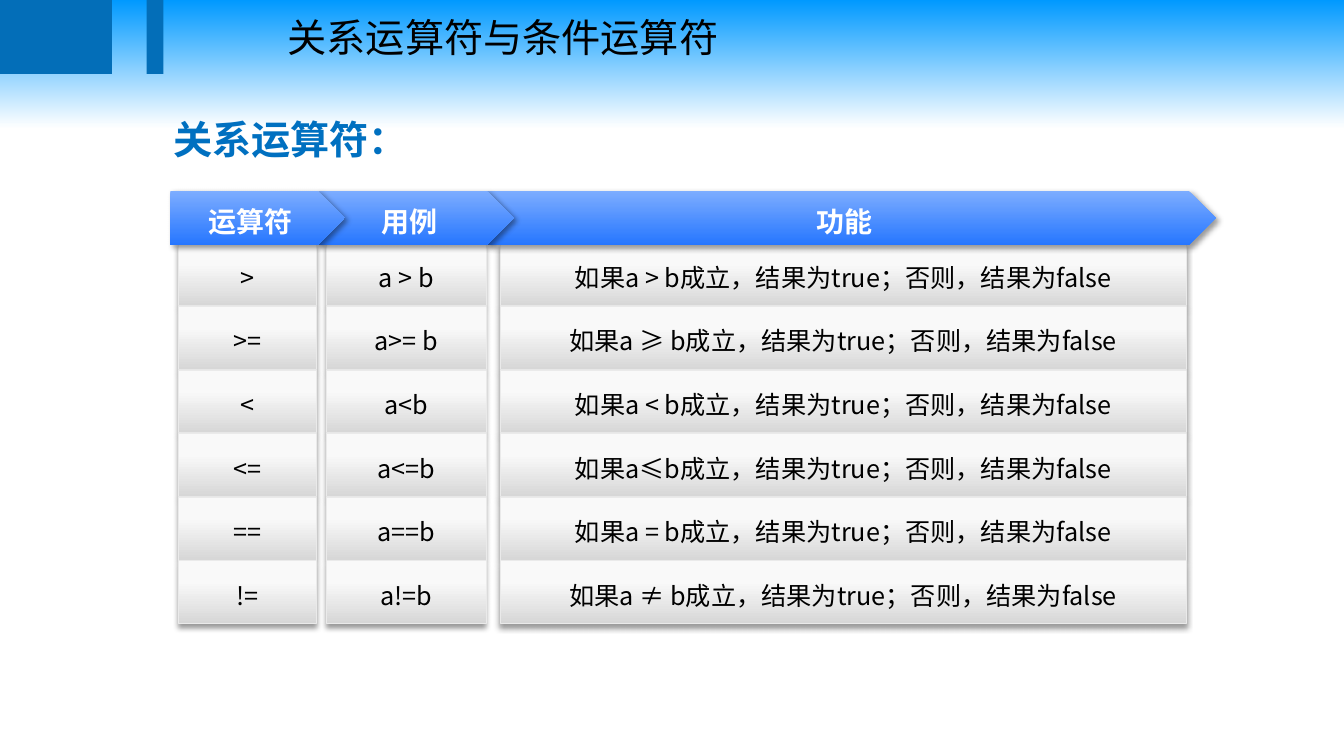
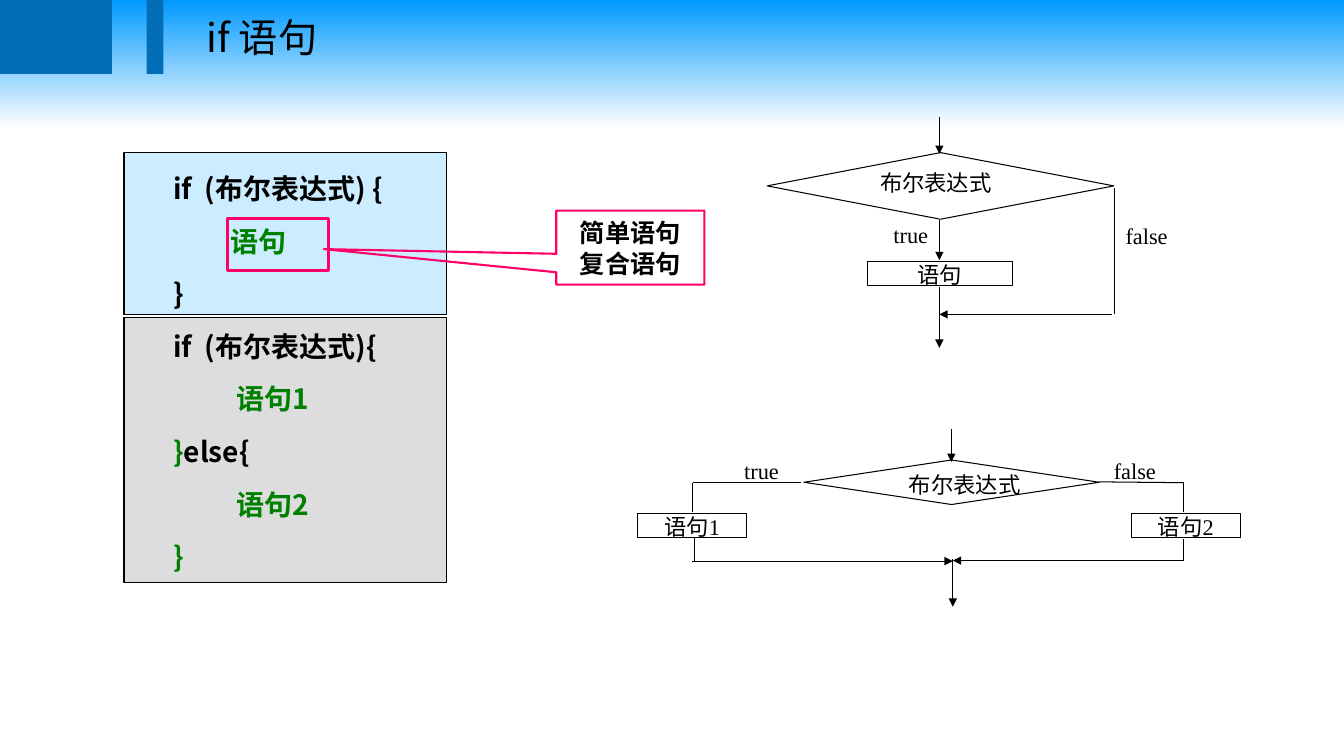
from dataclasses import dataclass
from typing import NamedTuple

from lxml import etree
from pptx import Presentation
from pptx.dml.color import RGBColor
from pptx.enum.shapes import MSO_CONNECTOR, MSO_SHAPE
from pptx.enum.text import MSO_ANCHOR, MSO_AUTO_SIZE, PP_ALIGN
from pptx.oxml.ns import qn
from pptx.util import Pt

RECT = MSO_SHAPE.RECTANGLE
PENTAGON = MSO_SHAPE.PENTAGON
DECISION = MSO_SHAPE.FLOWCHART_DECISION
PROCESS = MSO_SHAPE.FLOWCHART_PROCESS
CALLOUT = MSO_SHAPE.RECTANGULAR_CALLOUT
STRAIGHT = MSO_CONNECTOR.STRAIGHT
LEFT, CENTER, RIGHT = PP_ALIGN.LEFT, PP_ALIGN.CENTER, PP_ALIGN.RIGHT
TOP, MIDDLE = MSO_ANCHOR.TOP, MSO_ANCHOR.MIDDLE

SANS, SERIF = "Noto Sans CJK SC", "Times New Roman"
BLACK, WHITE, GREEN, PINK = "000000", "FFFFFF", "008000", "FF0066"
BAND_BLUE, HEADING_BLUE = "036EB8", "0070C0"
SKY_BLUE, PALE_BLUE, PALE_GREY, CELL_EDGE = "0099FF", "CCECFF", "DDDDDD", "EAEAEA"


class Box(NamedTuple):
    left: float
    top: float
    width: float
    height: float


class Stop(NamedTuple):
    position: float
    color: str


class Piece(NamedTuple):
    text: str
    color: str = BLACK


class Arrow(NamedTuple):
    x1: float
    y1: float
    x2: float
    y2: float
    has_head: bool = False


@dataclass(frozen=True)
class TextStyle:
    size: float
    font: str = SANS
    bold: bool = False
    align: PP_ALIGN = LEFT
    anchor: MSO_ANCHOR = MIDDLE
    spacing: object = None
    before: float = 0
    margins: tuple = (7.2, 3.6, 7.2, 3.6)


@dataclass(frozen=True)
class Column:
    heading: str
    heading_left: float
    heading_width: float
    left: float
    width: float


@dataclass(frozen=True)
class FlowNode:
    kind: MSO_SHAPE
    box: Box
    text: str
    align: PP_ALIGN = CENTER
    indent: float = 0


@dataclass(frozen=True)
class FlowLabel:
    box: Box
    text: str
    align: PP_ALIGN = LEFT


TITLE = TextStyle(28)
HEADING = TextStyle(28, bold=True)
COLUMN_HEADING = TextStyle(20, bold=True, align=CENTER, spacing=1.2)
CELL = TextStyle(18, align=CENTER, spacing=1.2)
CODE = TextStyle(20, bold=True, anchor=TOP, spacing=Pt(33.6), before=4)
NOTE = TextStyle(18, bold=True, align=CENTER, spacing=Pt(22))

PAGE_STOPS = (Stop(0, SKY_BLUE), Stop(0.17, WHITE))
CELL_STOPS = (Stop(0.33, "F9F9F9"), Stop(1, "D7D7D7"))
HEADING_STOPS = (Stop(0, "7DADFF"), Stop(1, "2676FF"))
BANDS = (Box(0, 0, 80, 52.8), Box(104.8, 0, 12, 52.8))

COLUMNS = (
    Column("运算符", 121.7, 124.6, 127.5, 98.7),
    Column("用例", 227.5, 139.7, 233.3, 114),
    Column("功能", 347.8, 520.6, 357, 490.5),
)
ROWS = (
    (">", "a > b", "a > b"),
    (">=", "a>= b", "a ≥ b"),
    ("<", "a<b", "a < b"),
    ("<=", "a<=b", "a≤b"),
    ("==", "a==b", "a = b"),
    ("!=", "a!=b", "a ≠ b"),
)
HEADING_TOP, HEADING_HEIGHT = 136.2, 39
ROW_TOP, ROW_HEIGHT, ROW_PITCH = 173.5, 44.8, 45.4

CODE_LINES = (
    (Piece("if  (布尔表达式) {"),),
    (Piece("         语句", GREEN),),
    (Piece("}"),),
    (Piece("if  (布尔表达式){"),),
    (Piece("          语句1", GREEN),),
    (Piece("}", GREEN), Piece("else{")),
    (Piece("          语句2", GREEN),),
    (Piece("}", GREEN),),
)

FLOW_NODES = (
    FlowNode(DECISION, Box(548, 109, 247.6, 47.6), "布尔表达式", LEFT, 18.7),
    FlowNode(PROCESS, Box(619.6, 186.8, 103.6, 17.4), "语句"),
    FlowNode(DECISION, Box(574.2, 328.6, 211, 31.8), "布尔表达式", CENTER, 18.7),
    FlowNode(PROCESS, Box(455.3, 366.8, 78.2, 17.4), "语句1"),
    FlowNode(PROCESS, Box(808, 366.8, 78.2, 17.4), "语句2"),
)
FLOW_LABELS = (
    FlowLabel(Box(602, 157.7, 61, 19), "true", RIGHT),
    FlowLabel(Box(804, 158.4, 69, 19), "false"),
    FlowLabel(Box(515.5, 326.2, 56.9, 19), "true", CENTER),
    FlowLabel(Box(795.6, 326.2, 52, 19), "false"),
)
FLOW_ARROWS = (
    Arrow(671, 83.5, 671, 110, True),
    Arrow(671, 157, 671, 185.8, True),
    Arrow(671, 205, 671, 248.4, True),
    Arrow(795.8, 134.6, 795.8, 224),
    Arrow(794.2, 224.6, 671, 224.6, True),
    Arrow(679.5, 306.7, 679.5, 330, True),
    Arrow(784.8, 344.2, 845.6, 344.8),
    Arrow(845.4, 344.8, 845.4, 365.8),
    Arrow(845.4, 385.2, 845.4, 400.4),
    Arrow(845.4, 400.4, 680.6, 400.4, True),
    Arrow(572.4, 344.8, 494.8, 344.8),
    Arrow(494.8, 344.8, 494.8, 365.8),
    Arrow(495.9, 384.6, 495.9, 400.6),
    Arrow(494.6, 400.8, 680.6, 400.8, True),
    Arrow(680.6, 399.6, 680.6, 433.4, True),
)


def rgb(color: str) -> RGBColor:
    return RGBColor.from_string(color)


def points(lengths: tuple) -> tuple:
    return tuple(Pt(length) for length in lengths)


def set_gradient(fill, stops: tuple) -> None:
    """Fill from top to bottom with two colours."""
    fill.gradient()
    fill.gradient_angle = 270
    for target, stop in zip(fill.gradient_stops, stops):
        target.position = stop.position
        target.color.rgb = rgb(stop.color)


def set_shadow(shape, direction: int) -> None:
    """Cast a soft black shadow; the direction is in degrees."""
    shape.shadow.inherit = False
    effects = shape.element.spPr.find(qn("a:effectLst"))
    shadow = etree.SubElement(
        effects, qn("a:outerShdw"), blurRad=str(Pt(4)), dist=str(Pt(3)),
        dir=str(direction * 60000), algn="ctr", rotWithShape="0")
    color = etree.SubElement(shadow, qn("a:srgbClr"), val=BLACK)
    etree.SubElement(color, qn("a:alpha"), val="40000")


def write(shape, lines: tuple, style: TextStyle) -> None:
    """Write one paragraph for each tuple of pieces."""
    frame = shape.text_frame
    frame.word_wrap = True
    frame.auto_size = MSO_AUTO_SIZE.NONE
    frame.vertical_anchor = style.anchor
    (frame.margin_left, frame.margin_top,
     frame.margin_right, frame.margin_bottom) = points(style.margins)
    for index, pieces in enumerate(lines):
        paragraph = frame.add_paragraph() if index else frame.paragraphs[0]
        paragraph.alignment = style.align
        if style.spacing:
            paragraph.line_spacing = style.spacing
        if index and style.before:
            paragraph.space_before = Pt(style.before)
        for piece in pieces:
            run = paragraph.add_run()
            run.text = piece.text
            font = run.font
            font.size, font.bold, font.name = Pt(style.size), style.bold, style.font
            font.color.rgb = rgb(piece.color)
            east_asian = etree.Element(qn("a:ea"), typeface=SANS)
            run.font._element.find(qn("a:latin")).addnext(east_asian)


def add_text(slide, box: Box, lines: tuple, style: TextStyle) -> None:
    write(slide.shapes.add_textbox(*points(box)), lines, style)


def add_box(slide, kind: MSO_SHAPE, box: Box, fill: str = "",
            line: str = "", line_width: float = 0.75):
    """Add a shape; an empty colour means no fill or no outline."""
    shape = slide.shapes.add_shape(kind, *points(box))
    shape.shadow.inherit = False
    if fill:
        shape.fill.solid()
        shape.fill.fore_color.rgb = rgb(fill)
    else:
        shape.fill.background()
    if line:
        shape.line.color.rgb = rgb(line)
        shape.line.width = Pt(line_width)
    else:
        shape.line.fill.background()
    return shape


def add_arrow(slide, arrow: Arrow) -> None:
    connector = slide.shapes.add_connector(STRAIGHT, *points(arrow[:4]))
    connector.line.color.rgb = rgb(BLACK)
    connector.line.width = Pt(0.75)
    if arrow.has_head:
        etree.SubElement(connector.line._get_or_add_ln(), qn("a:tailEnd"), type="triangle")
    etree.SubElement(connector.element.spPr, qn("a:effectLst"))


def add_titled_slide(deck, layout, title: str, box: Box, align: PP_ALIGN):
    slide = deck.slides.add_slide(layout)
    placeholder = slide.shapes.title
    (placeholder.left, placeholder.top,
     placeholder.width, placeholder.height) = points(box)
    write(placeholder, ((Piece(title),),), TextStyle(TITLE.size, align=align))
    for band in BANDS:
        add_box(slide, RECT, band, BAND_BLUE)
    return slide


def build_operator_slide(deck, layout) -> None:
    slide = add_titled_slide(deck, layout, "关系运算符与条件运算符",
                             Box(140.4, 7.9, 437.8, 37.4), CENTER)
    add_text(slide, Box(116.6, 78.5, 321.8, 41),
             ((Piece("关系运算符：", HEADING_BLUE),),), HEADING)
    for index, (operator, example, condition) in enumerate(ROWS):
        meaning = f"如果{condition}成立，结果为true；否则，结果为false"
        top = ROW_TOP + index * ROW_PITCH
        for column, text in zip(COLUMNS, (operator, example, meaning)):
            cell = add_box(slide, RECT, Box(column.left, top, column.width, ROW_HEIGHT),
                           line=CELL_EDGE, line_width=0.25)
            set_gradient(cell.fill, CELL_STOPS)
            set_shadow(cell, 90)
            write(cell, ((Piece(text),),), CELL)
    for column in reversed(COLUMNS):
        heading = add_box(slide, PENTAGON, Box(column.heading_left, HEADING_TOP,
                                               column.heading_width, HEADING_HEIGHT))
        set_gradient(heading.fill, HEADING_STOPS)
        set_shadow(heading, 45)
        write(heading, ((Piece(column.heading, WHITE),),), COLUMN_HEADING)


def build_if_slide(deck, layout) -> None:
    slide = add_titled_slide(deck, layout, "if 语句", Box(140.4, 5.8, 415.4, 41), LEFT)
    add_box(slide, RECT, Box(88.6, 226.8, 230.4, 189.4), PALE_GREY, BLACK)
    add_box(slide, RECT, Box(88.6, 108.8, 230.4, 116), PALE_BLUE, BLACK)
    add_text(slide, Box(116.6, 109.4, 370, 324), CODE_LINES, CODE)
    for node in FLOW_NODES:
        shape = add_box(slide, node.kind, node.box, line=BLACK)
        write(shape, ((Piece(node.text),),),
              TextStyle(16, SERIF, align=node.align, anchor=TOP,
                        margins=(node.indent, 0, 0, 0)))
    for label in FLOW_LABELS:
        add_text(slide, label.box, ((Piece(label.text),),),
                 TextStyle(16, SERIF, align=label.align, anchor=TOP, margins=(0, 0, 0, 0)))
    for arrow in FLOW_ARROWS:
        add_arrow(slide, arrow)
    add_box(slide, RECT, Box(162.7, 156, 72, 37), line=PINK, line_width=2.25)
    note = add_box(slide, CALLOUT, Box(397.4, 150.5, 105.8, 52.8), line=PINK, line_width=1.5)
    note.adjustments[0], note.adjustments[1] = -2.07, 0.02
    write(note, ((Piece("简单语句"),), (Piece("复合语句"),)), NOTE)


def main() -> None:
    deck = Presentation()
    deck.slide_width, deck.slide_height = Pt(960), Pt(540)
    title_only = deck.slide_layouts[5]
    set_gradient(title_only.background.fill, PAGE_STOPS)
    build_operator_slide(deck, title_only)
    build_if_slide(deck, title_only)
    deck.save("out.pptx")


if __name__ == "__main__":
    main()
